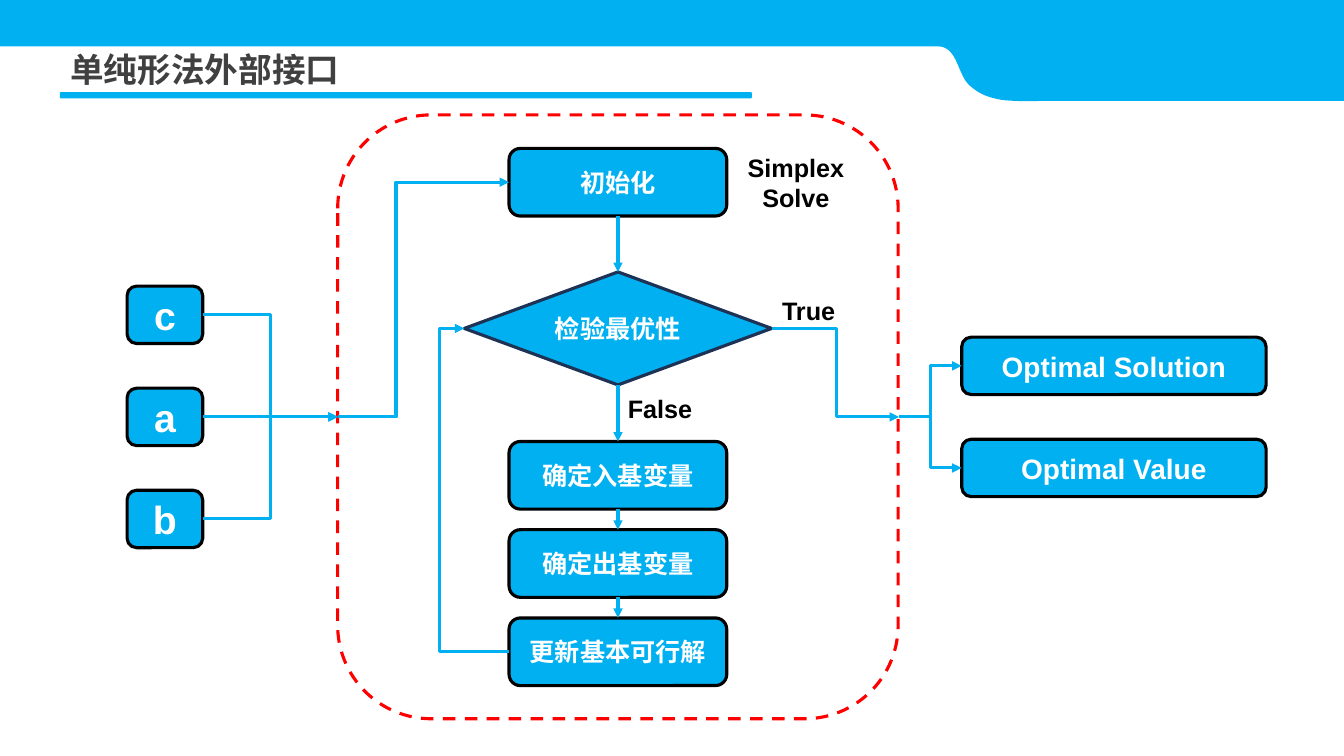
from dataclasses import dataclass
from typing import Optional

from lxml import etree
from pptx import Presentation
from pptx import util as u
from pptx.dml.color import RGBColor
from pptx.enum import dml, shapes, text
from pptx.oxml.ns import qn

BLUE, BLACK, WHITE = "00B0F0", "000000", "FFFFFF"
WIDE, HIGH = u.Inches(13.333), u.Inches(7.5)
RECT = shapes.MSO_SHAPE.RECTANGLE
ROUND = shapes.MSO_SHAPE.ROUNDED_RECTANGLE
RHOMB = shapes.MSO_SHAPE.DIAMOND
MID, LEFT = text.PP_ALIGN.CENTER, text.PP_ALIGN.LEFT

# Places on the slide, in percent of its width or height
ROW, GAP = 55.15, 13.5          # main row, gap between inputs
IN_X, IN_W = 12.27, 5.63        # inputs
STEP_X, STEP_W, STEP_H = 45.98, 16.2, 8.95
INIT, TEST = 24.1, 43.45        # rows of the first step and the test
TEST_W, TEST_H = 22.87, 14.95
LOOP = [62.87 + 11.67 * i for i in range(3)]
OUT_X, OUT_W, BOX_H = 82.88, 22.65, 7.6
DOOR_IN, DOOR_OUT = 25.13, 66.9  # where the flow enters and leaves


@dataclass
class Box:
    label: str
    x: float
    y: float
    w: float
    h: float
    size: int = 18
    kind: int = ROUND
    edge: str = BLACK


@dataclass
class Link:
    x1: float
    y1: float
    x2: float
    y2: float
    bend: Optional[float] = None  # share of the run before the turn


@dataclass
class Note:
    lines: tuple
    x: float
    y: float
    w: float
    h: float
    size: int = 18
    color: str = BLACK
    align: int = LEFT
    wrap: bool = True
    grow: bool = True


def px(share: float) -> int:
    return round(WIDE * share / 100)


def py(share: float) -> int:
    return round(HIGH * share / 100)


def rgb(code: str) -> RGBColor:
    return RGBColor.from_string(code)


def paint(shape, fill: Optional[str], edge: Optional[str] = None, width: float = 2.25) -> None:
    shape.shadow.inherit = False
    if fill:
        shape.fill.solid()
        shape.fill.fore_color.rgb = rgb(fill)
    else:
        shape.fill.background()
    if edge:
        shape.line.color.rgb = rgb(edge)
        shape.line.width = u.Pt(width)
    else:
        shape.line.fill.background()


def block(slide, kind: int, x: float, y: float, w: float, h: float):
    return slide.shapes.add_shape(kind, px(x), py(y), px(w), py(h))


def write(frame, lines: tuple, size: int, color: str, align: int) -> None:
    for i, line in enumerate(lines):
        para = frame.add_paragraph() if i else frame.paragraphs[0]
        para.alignment = align
        run = para.add_run()
        run.text = line
        font = run.font
        font.name, font.size, font.bold = "Arial", u.Pt(size), True
        font.color.rgb = rgb(color)


def draw_box(slide, box: Box) -> None:
    shape = block(slide, box.kind, box.x - box.w / 2, box.y - box.h / 2, box.w, box.h)
    paint(shape, BLUE, box.edge)
    shape.text_frame.vertical_anchor = text.MSO_ANCHOR.MIDDLE
    write(shape.text_frame, (box.label,), box.size, WHITE, MID)


def draw_link(slide, link: Link) -> None:
    kind = shapes.MSO_CONNECTOR.STRAIGHT if link.bend is None else shapes.MSO_CONNECTOR.ELBOW
    line = slide.shapes.add_connector(kind, px(link.x1), py(link.y1), px(link.x2), py(link.y2))
    line.line.color.rgb = rgb(BLUE)
    line.line.width = u.Pt(2.25)
    props = line._element.spPr
    etree.SubElement(props.find(qn("a:ln")), qn("a:tailEnd"), type="triangle")
    etree.SubElement(props, qn("a:effectLst"))
    if link.bend is not None:
        turns = props.find(qn("a:prstGeom")).find(qn("a:avLst"))
        etree.SubElement(turns, qn("a:gd"), name="adj1", fmla=f"val {round(link.bend * 100000)}")


def draw_note(slide, note: Note) -> None:
    area = slide.shapes.add_textbox(px(note.x), py(note.y), px(note.w), py(note.h))
    frame = area.text_frame
    frame.word_wrap = note.wrap
    if note.grow:
        frame.auto_size = text.MSO_AUTO_SIZE.SHAPE_TO_FIT_TEXT
    else:
        frame.vertical_anchor = text.MSO_ANCHOR.MIDDLE
    write(frame, note.lines, note.size, note.color, note.align)


def draw_curve(slide, start: tuple, curves: list, steps: int = 12) -> None:
    dots, a = [], start
    for b, c, d in curves:
        for i in range(1, steps + 1):
            t = i / steps
            s = 1 - t
            x, y = (s**3 * a[k] + 3 * s * s * t * b[k] + 3 * s * t * t * c[k] + t**3 * d[k]
                    for k in (0, 1))
            dots.append((px(x), py(y)))
        a = d
    pen = slide.shapes.build_freeform(px(start[0]), py(start[1]))
    pen.add_line_segments(dots, close=True)
    paint(pen.convert_to_shape(), BLUE)


# Curved edge of the header
EDGE = [
    ((68.7, 6.4), (69.75, 5.6), (70.5, 6.53)),
    ((71.25, 7.47), (71.4, 10), (72.08, 11.2)),
    ((72.75, 12.27), (73.28, 12.8), (74.48, 13.2)),
    ((75.6, 13.47), (77.78, 13.47), (78.98, 13.07)),
    ((80.1, 12.53), (80.93, 12.13), (81.45, 10.53)),
    ((81.9, 8.93), (84.83, 4.53), (81.9, 3.2)),
    ((78.98, 1.73), (66.38, 1.73), (63.98, 2.13)),
    ((61.58, 2.53), (66.53, 4.93), (67.65, 5.6)),
]

INPUTS = [Box(name, IN_X, ROW + GAP * i, IN_W, BOX_H, 28) for i, name in enumerate("cab", -1)]
STEPS = [Box(name, STEP_X, y, STEP_W, STEP_H) for name, y in
         zip(("初始化", "确定入基变量", "确定出基变量", "更新基本可行解"), [INIT] + LOOP)]
CHECK = Box("检验最优性", STEP_X, TEST, TEST_W, TEST_H, kind=RHOMB, edge="1E3256")
OUTPUTS = [Box(name, OUT_X, ROW + side * GAP / 2, OUT_W, BOX_H, 20)
           for name, side in (("Optimal Solution", -1), ("Optimal Value", 1))]

CHAIN = [STEPS[0], CHECK] + STEPS[1:]
LINKS = [Link(b.x + b.w / 2, b.y, DOOR_IN, ROW, None if b.y == ROW else 0.5) for b in INPUTS]
LINKS += [Link(STEP_X, a.y + a.h / 2, STEP_X, b.y - b.h / 2) for a, b in zip(CHAIN, CHAIN[1:])]
LINKS += [
    Link(STEP_X - STEP_W / 2, LOOP[-1], STEP_X - TEST_W / 2, TEST, 1.56),
    Link(DOOR_IN, ROW, STEP_X - STEP_W / 2, INIT, 0.34),
    Link(STEP_X + TEST_W / 2, TEST, DOOR_OUT, ROW, 0.51),
]
LINKS += [Link(DOOR_OUT, ROW, b.x - b.w / 2, b.y, 0.5) for b in OUTPUTS]

TITLE = Note(("单纯形法外部接口",), 4.5, 6, 46.05, 6.27, 24, "404040", grow=False)
NOTES = [
    Note(("Simplex", "Solve"), 54.83, 19.47, 8.78, 9.47, align=MID, wrap=False),
    Note(("True",), 57.45, 38.4, 7.05, 5.33),
    Note(("False",), STEP_X, 51.33, 7.05, 5.33),
]


def main() -> None:
    deck = Presentation()
    deck.slide_width, deck.slide_height = WIDE, HIGH
    slide = deck.slides.add_slide(deck.slide_layouts[6])

    # Header and title
    paint(block(slide, RECT, 0, -0.1, 100, 6.23), BLUE)
    draw_curve(slide, (67.65, 5.6), EDGE)
    paint(block(slide, RECT, 75.7, 5.07, 24.3, 8.27), BLUE)
    draw_note(slide, TITLE)
    paint(block(slide, ROUND, 4.5, 12.27, 51.4, 0.67), BLUE, BLUE, 1)

    # Solver frame
    frame = block(slide, ROUND, DOOR_IN, 15.2, 41.7, 79.87)
    paint(frame, None, "FF0000")
    frame.line.dash_style = dml.MSO_LINE.DASH

    # Flow chart
    for box in INPUTS + STEPS + [CHECK] + OUTPUTS:
        draw_box(slide, box)
    for link in LINKS:
        draw_link(slide, link)
    for note in NOTES:
        draw_note(slide, note)

    deck.save("out.pptx")


if __name__ == "__main__":
    main()
